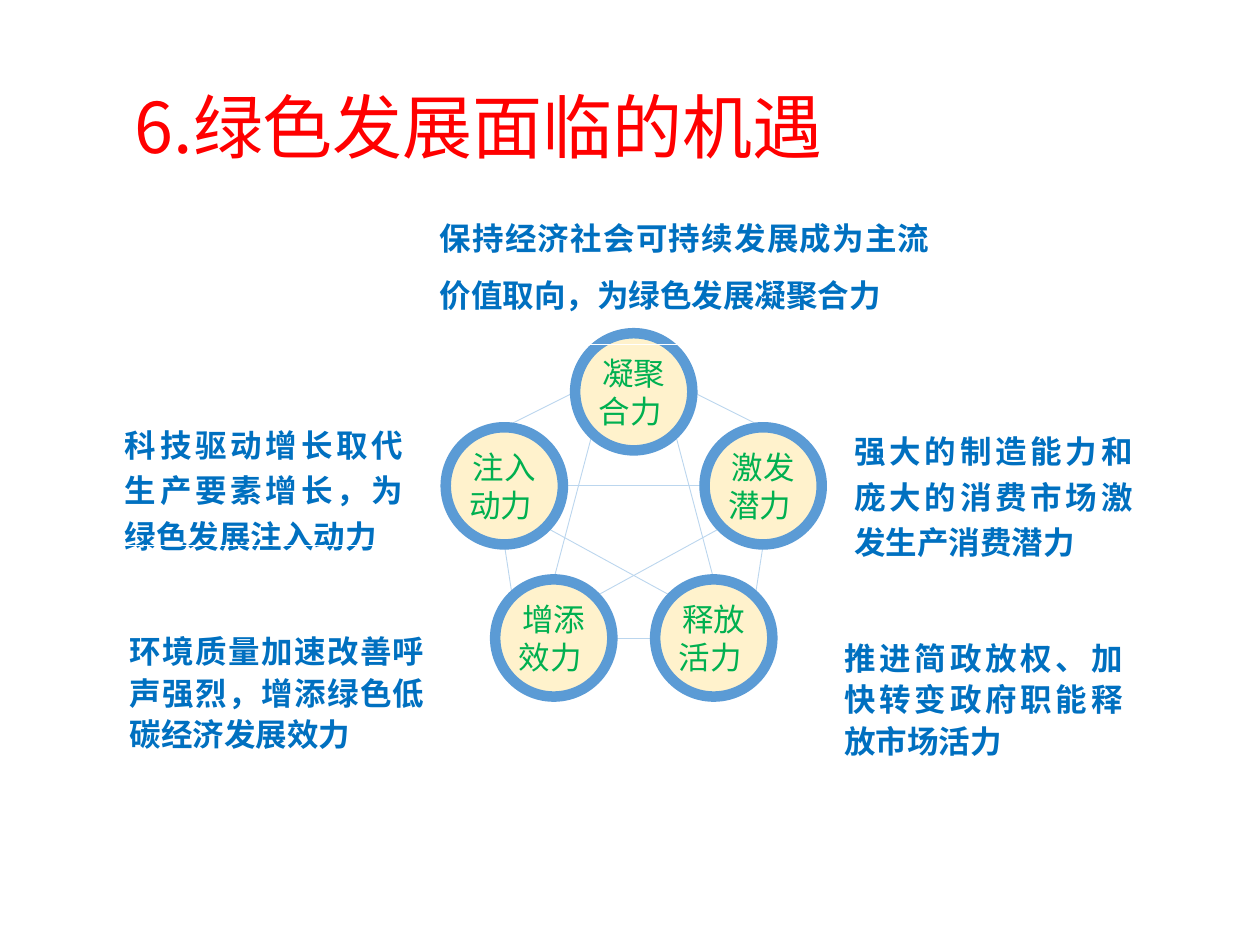
import math
from dataclasses import dataclass

import pptx
import pptx.dml.color
import pptx.enum.shapes
import pptx.enum.text
import pptx.oxml.ns
import pptx.util
from lxml import etree

COLUMNS, ROWS = 100, 75
CELL = pptx.util.Inches(0.1)
COLORS = {
    "title": "FF0000", "force": "00B050", "opportunity": "0070C0",
    "disc": "FFF2CC", "ring": "5B9BD5", "link": "BBD6EE", "rule": "FFFFFF",
}
EAST_ASIAN = "Noto Sans CJK SC"
CENTER, RADIUS, DISC = (50.3, 41.9), 10.8, 9.3
TOP, RIGHT, LOWER_RIGHT, LOWER_LEFT, LEFT = range(5)
N, NW, W, SW, S, SE, E, NE = range(8)

FORCES = ["凝聚合力 ", "激发潜力 ", "释放活力 ", "增添效力 ", "注入动力 "]


@dataclass(frozen=True)
class Link:
    start: int
    start_side: int
    end: int
    end_side: int


@dataclass(frozen=True)
class Opportunity:
    text: str
    column: float
    row: float
    width: float
    height: float
    spacing: float


@dataclass(frozen=True)
class Rule:
    column: float
    row: float
    width: float


LINKS = [
    Link(TOP, SW, LOWER_LEFT, N), Link(TOP, SE, LOWER_RIGHT, N),
    Link(TOP, E, RIGHT, N), Link(TOP, W, LEFT, N),
    Link(LEFT, E, RIGHT, W), Link(LEFT, SE, LOWER_RIGHT, NW),
    Link(LEFT, S, LOWER_LEFT, NW), Link(RIGHT, S, LOWER_RIGHT, NE),
    Link(RIGHT, SW, LOWER_LEFT, NE), Link(LOWER_RIGHT, W, LOWER_LEFT, E),
]
OPPORTUNITIES = [
    Opportunity("强大的制造能力和庞大的消费市场激发生产消费潜力", 67.1, 34.7, 23.5, 8.8, 1.2),
    Opportunity("推进简政放权、加快转变政府职能释放市场活力", 66.3, 50, 23.5, 10.7, 1.1),
    Opportunity("环境质量加速改善呼声强烈，增添绿色低碳经济发展效力", 9.6, 50.4, 24.8, 8.8, 1.1),
    Opportunity("保持经济社会可持续发展成为主流价值取向，为绿色发展凝聚合力", 34.2, 16, 40.3, 8.8, 1.5),
    Opportunity("科技驱动增长取代生产要素增长，为绿色发展注入动力", 9.2, 34.2, 23.5, 8.8, 1.2),
]
RULES = [Rule(35.5, 27.3, 40.3), Rule(9.5, 43.3, 23.5)]


def cells(*counts: float) -> list[int]:
    return [round(count * CELL) for count in counts]


def rgb(role: str) -> pptx.dml.color.RGBColor:
    return pptx.dml.color.RGBColor.from_string(COLORS[role])


def apply(target, values: dict) -> None:
    for key, value in values.items():
        setattr(target, key, value)


def write(shape, text: str, role: str, font: dict, frame: dict, paragraph: dict) -> None:
    apply(shape.text_frame, {"word_wrap": True, **frame})
    line = shape.text_frame.paragraphs[0]
    apply(line, paragraph)
    run = line.add_run()
    run.text = text
    apply(run.font, font)
    run.font.color.rgb = rgb(role)
    properties = run.font._element
    properties.set("lang", "zh-CN")
    latin = properties.find(pptx.oxml.ns.qn("a:latin"))
    east_asian = etree.Element(pptx.oxml.ns.qn("a:ea"), typeface=EAST_ASIAN)
    latin.addnext(east_asian)


def disc_center(index: int) -> tuple[float, float]:
    angle = math.radians(72 * index)
    return CENTER[0] + RADIUS * math.sin(angle), CENTER[1] - RADIUS * math.cos(angle)


def disc_edge(index: int, side: int) -> tuple[float, float]:
    x, y = disc_center(index)
    angle = math.radians(45 * side)
    return x - DISC / 2 * math.sin(angle), y - DISC / 2 * math.cos(angle)


def draw_line(slide, start: tuple, end: tuple, role: str, weight: float) -> None:
    line = slide.shapes.add_connector(
        pptx.enum.shapes.MSO_CONNECTOR.STRAIGHT, *cells(*start, *end))
    line.line.color.rgb = rgb(role)
    line.line.width = pptx.util.Pt(weight)
    etree.SubElement(line._element.spPr, pptx.oxml.ns.qn("a:effectLst"))


def draw_force(slide, index: int, text: str) -> None:
    x, y = disc_center(index)
    disc = slide.shapes.add_shape(
        pptx.enum.shapes.MSO_SHAPE.OVAL, *cells(x - DISC / 2, y - DISC / 2, DISC, DISC))
    disc.shadow.inherit = False
    disc.fill.solid()
    disc.fill.fore_color.rgb = rgb("disc")
    disc.line.color.rgb = rgb("ring")
    disc.line.width = pptx.util.Pt(6)
    write(disc, text, "force",
          {"name": "Arial", "size": pptx.util.Pt(18)},
          {"vertical_anchor": pptx.enum.text.MSO_ANCHOR.MIDDLE, "margin_left": 0,
           "margin_right": 0, "margin_top": 0, "margin_bottom": 0},
          {"alignment": pptx.enum.text.PP_ALIGN.CENTER})


def draw_opportunity(slide, item: Opportunity) -> None:
    box = slide.shapes.add_textbox(*cells(item.column, item.row, item.width, item.height))
    side = pptx.util.Inches(0.07)
    write(box, item.text, "opportunity",
          {"name": "Calibri", "size": pptx.util.Pt(18), "bold": True},
          {"vertical_anchor": pptx.enum.text.MSO_ANCHOR.MIDDLE, "margin_left": side,
           "margin_right": side, "margin_top": 0, "margin_bottom": 0},
          {"alignment": pptx.enum.text.PP_ALIGN.JUSTIFY, "line_spacing": item.spacing})


def draw_title(slide, text: str) -> None:
    title = slide.shapes.title
    apply(title, dict(zip(("left", "top", "width", "height"), cells(9.7, 6.1, 81.1, 7.7))))
    write(title, text, "title",
          {"name": EAST_ASIAN, "size": pptx.util.Pt(40)},
          {"vertical_anchor": pptx.enum.text.MSO_ANCHOR.TOP,
           "auto_size": pptx.enum.text.MSO_AUTO_SIZE.SHAPE_TO_FIT_TEXT},
          {"alignment": pptx.enum.text.PP_ALIGN.LEFT})


def main() -> None:
    deck = pptx.Presentation()
    deck.slide_width, deck.slide_height = cells(COLUMNS, ROWS)
    slide = deck.slides.add_slide(deck.slide_layouts.get_by_name("Title Only"))
    draw_title(slide, "6.绿色发展面临的机遇")
    for link in LINKS:
        draw_line(slide, disc_edge(link.start, link.start_side),
                  disc_edge(link.end, link.end_side), "link", 0.5)
    for index, force in enumerate(FORCES):
        draw_force(slide, index, force)
    for opportunity in OPPORTUNITIES:
        draw_opportunity(slide, opportunity)
    for rule in RULES:
        draw_line(slide, (rule.column, rule.row),
                  (rule.column + rule.width, rule.row), "rule", 0.25)
    deck.save("out.pptx")


if __name__ == "__main__":
    main()
